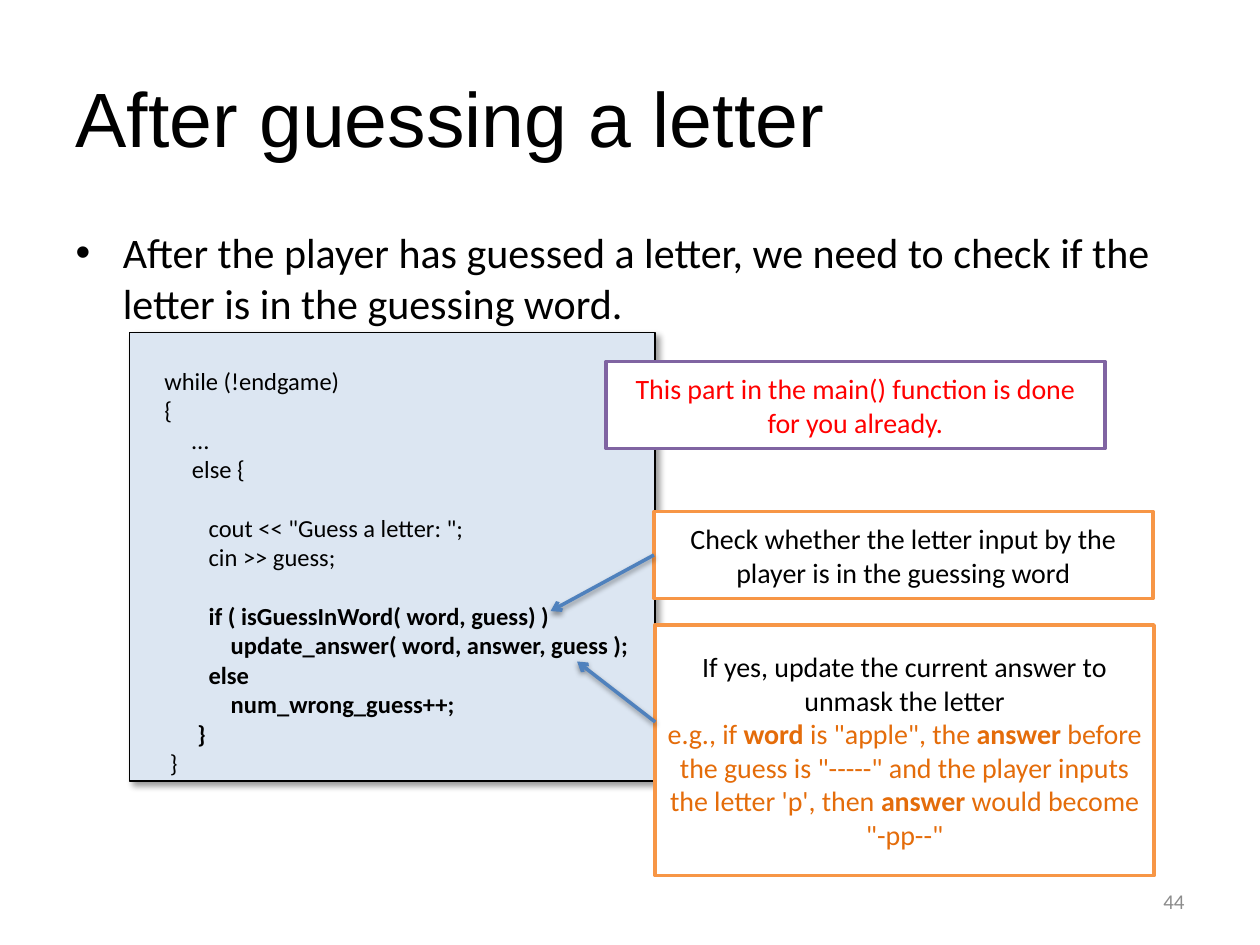
from dataclasses import dataclass

import pptx
import pptx.dml.color
import pptx.enum.shapes
import pptx.enum.text
import pptx.oxml.ns
import pptx.util
from lxml import etree

Inches = pptx.util.Inches
Pt = pptx.util.Pt
RGBColor = pptx.dml.color.RGBColor
qn = pptx.oxml.ns.qn
ALIGN = pptx.enum.text.PP_ALIGN
ANCHOR = pptx.enum.text.MSO_ANCHOR
RECTANGLE = pptx.enum.shapes.MSO_SHAPE.RECTANGLE
STRAIGHT = pptx.enum.shapes.MSO_CONNECTOR.STRAIGHT

BLACK = RGBColor(0x00, 0x00, 0x00)
WHITE = RGBColor(0xFF, 0xFF, 0xFF)
GREY = RGBColor(0x8C, 0x8C, 0x8C)
RED = RGBColor(0xFF, 0x00, 0x00)
PALE_BLUE = RGBColor(0xDC, 0xE6, 0xF2)
BLUE = RGBColor(0x4F, 0x81, 0xBD)
ORANGE = RGBColor(0xF7, 0x96, 0x46)
DARK_ORANGE = RGBColor(0xE4, 0x6C, 0x0A)
PURPLE = RGBColor(0x80, 0x64, 0xA2)

CODE_SIZE = 14
CODE = """
    while (!endgame)
    {
         …
         else {

            cout << "Guess a letter: ";
            cin >> guess;

            if ( isGuessInWord( word, guess) )
                update_answer( word, answer, guess );
            else
                num_wrong_guess++;
          }
     }""".split("\n")
BOLD_CODE = range(9, 14)


@dataclass
class Run:
    text: str
    color: RGBColor = BLACK
    bold: bool = False


@dataclass
class Callout:
    left: float
    top: float
    height: float
    border: RGBColor
    paragraphs: list[list[Run]]


@dataclass
class Shadow:
    opacity: int
    blur: float
    distance: float
    angle: int


CODE_SHADOW = Shadow(40, 4, 3, 45)
ARROW_SHADOW = Shadow(38, 3.1, 1.6, 90)

CHECK = Callout(5.19, 4.06, 0.69, ORANGE, [
    [Run("Check whether the letter input by the player is in the guessing word")]])
UPDATE = Callout(5.2, 4.96, 1.99, ORANGE, [
    [Run("If yes, update the current answer to unmask the letter")],
    [Run("e.g., if ", DARK_ORANGE),
     Run("word", DARK_ORANGE, True),
     Run(' is "apple", the ', DARK_ORANGE),
     Run("answer ", DARK_ORANGE, True),
     Run("before the guess is \"-----\" and the player inputs the letter 'p', then ",
         DARK_ORANGE),
     Run("answer ", DARK_ORANGE, True),
     Run('would become "-pp--"', DARK_ORANGE)]])
DONE = Callout(4.81, 2.87, 0.69, PURPLE, [
    [Run("This part in the main() function is done for you already.", RED)]])


def format_run(r, size: float, color: RGBColor = BLACK, bold: bool = False,
               name: str = "Calibri") -> None:
    r.font.size = Pt(size)
    r.font.name = name
    r.font.bold = bold
    r.font.color.rgb = color


def place(sp, left: float, top: float, width: float, height: float) -> None:
    sp.left, sp.top = Inches(left), Inches(top)
    sp.width, sp.height = Inches(width), Inches(height)


def add_shadow(effects, shadow: Shadow) -> None:
    outer = etree.SubElement(
        effects, qn("a:outerShdw"), blurRad=str(Pt(shadow.blur)),
        dist=str(Pt(shadow.distance)), dir=str(shadow.angle * 60000),
        algn="tl", rotWithShape="0")
    color = etree.SubElement(outer, qn("a:srgbClr"), val=str(BLACK))
    etree.SubElement(color, qn("a:alpha"), val=str(shadow.opacity * 1000))


def add_box(slide, left: float, top: float, width: float, height: float,
            fill: RGBColor, border: RGBColor, border_width: float):
    s = slide.shapes.add_shape(RECTANGLE, Inches(left), Inches(top),
                               Inches(width), Inches(height))
    s.shadow.inherit = False
    s.fill.solid()
    s.fill.fore_color.rgb = fill
    s.line.color.rgb = border
    s.line.width = Pt(border_width)
    s.text_frame.word_wrap = True
    s.text_frame.vertical_anchor = ANCHOR.MIDDLE
    return s


def add_code(slide) -> None:
    s = add_box(slide, 1.03, 2.64, 4.17, 3.56, PALE_BLUE, BLACK, 0.75)
    add_shadow(s._element.spPr.find(qn("a:effectLst")), CODE_SHADOW)
    tf = s.text_frame
    tf.text = "\n".join(CODE)
    for i, p in enumerate(tf.paragraphs):
        p.alignment = ALIGN.LEFT
        for r in p.runs:
            format_run(r, CODE_SIZE, bold=i in BOLD_CODE)
        if not p.runs:
            etree.SubElement(p._p, qn("a:endParaRPr"), sz=str(CODE_SIZE * 100))


def add_callout(slide, callout: Callout):
    s = add_box(slide, callout.left, callout.top, 3.96, callout.height,
                WHITE, callout.border, 2)
    tf = s.text_frame
    for i, runs in enumerate(callout.paragraphs):
        p = tf.add_paragraph() if i else tf.paragraphs[0]
        p.alignment = ALIGN.CENTER
        for run in runs:
            r = p.add_run()
            r.text = run.text
            format_run(r, 16, run.color, run.bold)
    return s


def add_arrow(slide, start: tuple[float, float], end: tuple[float, float]):
    c = slide.shapes.add_connector(STRAIGHT, *map(Inches, start + end))
    c.line.color.rgb = BLUE
    c.line.width = Pt(2)
    etree.SubElement(c.line._get_or_add_ln(), qn("a:tailEnd"), type="arrow")
    add_shadow(etree.SubElement(c._element.spPr, qn("a:effectLst")), ARROW_SHADOW)
    return c


def add_heading_and_body(slide) -> None:
    title, body = slide.placeholders
    place(title, 0.5, 0.3, 9, 1.25)
    title.text_frame.text = "After guessing a letter"
    title.text_frame.vertical_anchor = ANCHOR.MIDDLE
    p = title.text_frame.paragraphs[0]
    p.alignment = ALIGN.LEFT
    format_run(p.runs[0], 44, name="Arial")

    place(body, 0.5, 1.75, 9, 4.95)
    body.text_frame.text = ("After the player has guessed a letter, we need to check "
                            "if the letter is in the guessing word.")
    p = body.text_frame.paragraphs[0]
    p.space_before = Pt(0)
    format_run(p.runs[0], 24)


def add_page_number(slide) -> None:
    s = slide.shapes.add_textbox(Inches(7.17), Inches(6.95), Inches(2.33), Inches(0.4))
    tf = s.text_frame
    tf.word_wrap = True
    tf.vertical_anchor = ANCHOR.MIDDLE
    tf.text = "44"
    p = tf.paragraphs[0]
    p.alignment = ALIGN.RIGHT
    format_run(p.runs[0], 12, GREY)


def main() -> None:
    prs = pptx.Presentation()
    prs.slide_width, prs.slide_height = Inches(10), Inches(7.5)
    slide = prs.slides.add_slide(prs.slide_layouts[1])
    add_heading_and_body(slide)
    add_page_number(slide)
    add_code(slide)
    check = add_callout(slide, CHECK)
    add_callout(slide, UPDATE)
    add_arrow(slide, (5.2, 4.42), (4.37, 4.85)).begin_connect(check, 1)
    add_arrow(slide, (5.2, 5.73), (4.58, 5.25))
    add_callout(slide, DONE)
    prs.save("out.pptx")


if __name__ == "__main__":
    main()
